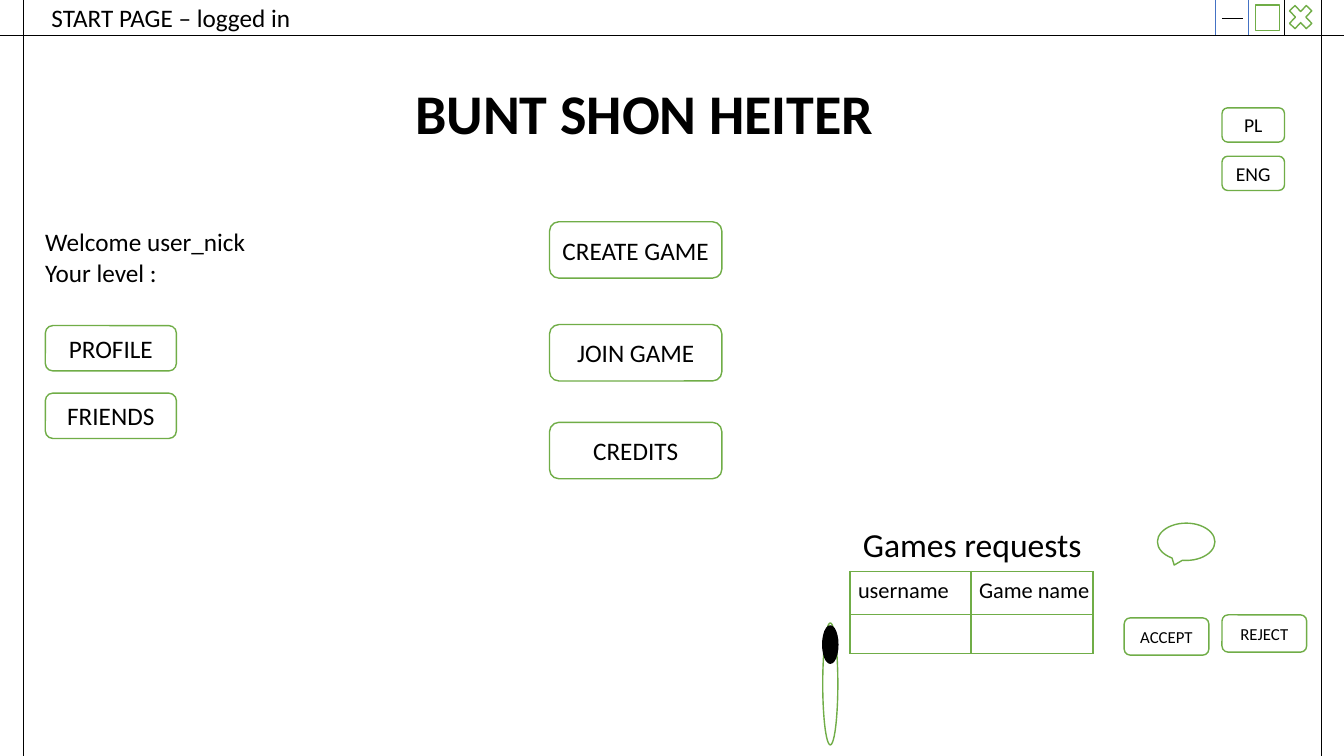
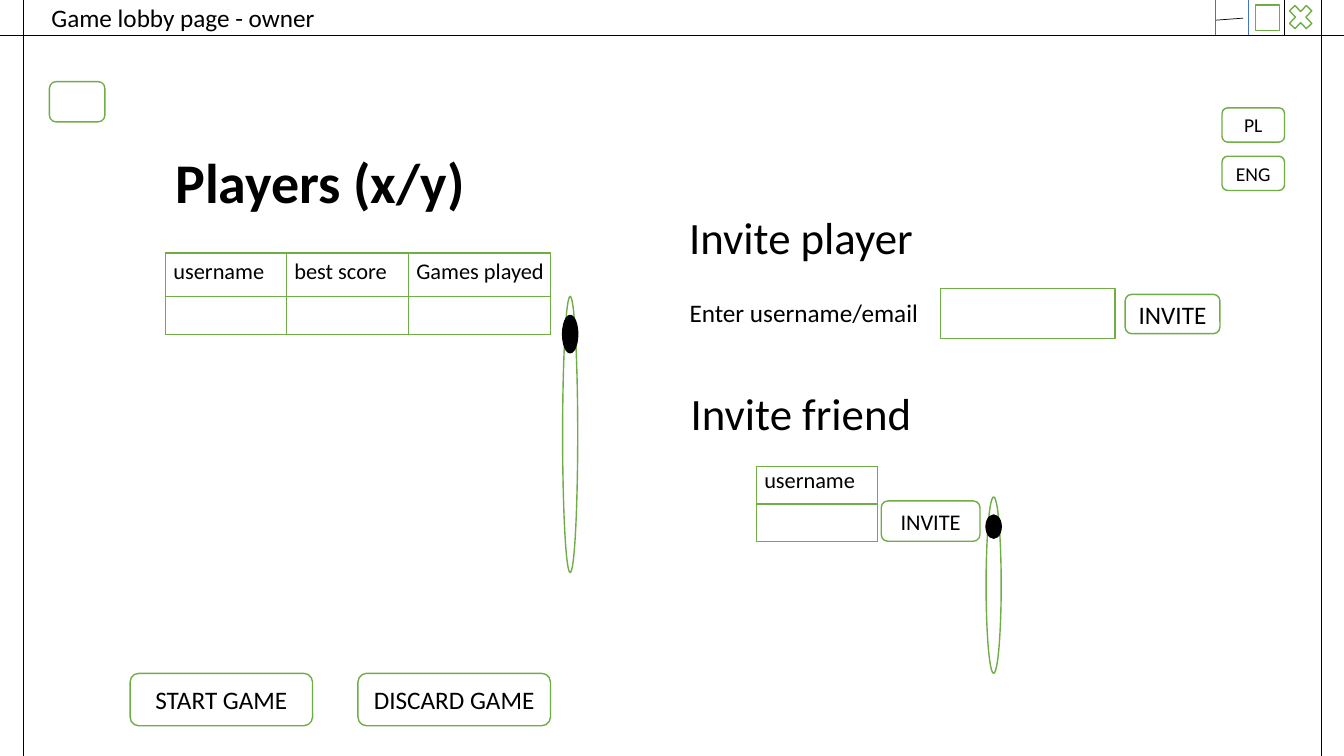
from lxml import etree
from pptx import Presentation
from pptx.dml.color import RGBColor
from pptx.enum.shapes import MSO_CONNECTOR, MSO_SHAPE
from pptx.enum.text import MSO_ANCHOR, MSO_AUTO_SIZE, PP_ALIGN
from pptx.oxml.ns import qn
from pptx.util import Inches, Pt

RECT, ROUNDED = MSO_SHAPE.RECTANGLE, MSO_SHAPE.ROUNDED_RECTANGLE
OVAL, CROSS = MSO_SHAPE.OVAL, MSO_SHAPE.MATH_MULTIPLY
BUBBLE = MSO_SHAPE.OVAL_CALLOUT
STRAIGHT = MSO_CONNECTOR.STRAIGHT
LEFT, CENTER = PP_ALIGN.LEFT, PP_ALIGN.CENTER
TOP, MIDDLE = MSO_ANCHOR.TOP, MSO_ANCHOR.MIDDLE
NO_FIT, GROW = MSO_AUTO_SIZE.NONE, MSO_AUTO_SIZE.SHAPE_TO_FIT_TEXT

FONT = "Calibri"
BLACK, WHITE, GREEN, BLUE = "000000", "FFFFFF", "70AD47", "4472C4"
WIDTH, HEIGHT = 13.33, 7.5
BAR = 0.35
SCROLL_WIDTH = 0.15

# Window frame: x1, y1, x2, y2, colour
FRAME_LINES = [
    (0, BAR, WIDTH, BAR, BLACK),
    (13.11, 0, 13.11, HEIGHT, BLACK),
    (0.23, 0, 0.23, HEIGHT, BLACK),
    (12.05, 0, 12.05, BAR, BLUE),
    (12.38, 0, 12.38, BAR, BLUE),
    (12.74, 0, 12.74, BAR, BLACK),
]
WINDOW_ICONS = [(CROSS, 12.74, 0, 0.32, 0.34), (RECT, 12.45, 0.05, 0.24, 0.25)]
LANGUAGE_BUTTONS = [
    ("PL", 12.12, 1.07, 0.62, 0.34, 14),
    ("ENG", 12.12, 1.55, 0.62, 0.34, 14),
]

# buttons: text, left, top, width, height, size
# labels: lines, left, top, width, height, size, bold, alignment
# tables: headers, left, top, column widths, row heights, text inset
# scrollbars: left, track top, track height, thumb top, thumb height
PAGES = [
    {
        "title": "START PAGE – logged in",
        "minimise": (12.12, 0.18, 12.33, 0.18, BLACK),
        "shapes": [(BUBBLE, 11.48, 5.19, 0.57, 0.37)],
        "buttons": [
            ("PROFILE", 0.45, 3.23, 1.3, 0.45, 18),
            ("FRIENDS", 0.45, 3.9, 1.3, 0.45, 18),
            ("CREATE GAME", 5.45, 2.2, 1.71, 0.56, 18),
            ("JOIN GAME", 5.45, 3.22, 1.71, 0.56, 18),
            ("CREDITS", 5.45, 4.19, 1.71, 0.56, 18),
            ("ACCEPT", 11.15, 6.13, 0.84, 0.37, 12),
            ("REJECT", 12.12, 6.1, 0.84, 0.37, 12),
        ],
        "labels": [
            (["BUNT SHON HEITER"], 4.02, 0.73, 4.85, 0.77, 40, True, LEFT),
            (["Welcome user_nick", "Your level :"],
             0.35, 2.2, 2.89, 0.71, 18, False, LEFT),
            (["Games requests"], 8.46, 5.15, 2.67, 0.5, 24, False, LEFT),
        ],
        "tables": [
            (["username", "Game name"], 8.43, 5.67, [1.2, 1.21], [0.43, 0.38], 0.06),
        ],
        "scrollbars": [(8.16, 6.18, 1.21, 6.21, 0.37)],
    },
    {
        "title": "Game lobby page - owner",
        "minimise": (12.06, 0.2, 12.33, 0.18, BLACK),
        "shapes": [(ROUNDED, 0.49, 0.81, 0.55, 0.4), (RECT, 9.33, 2.86, 1.73, 0.5)],
        "buttons": [
            ("INVITE", 11.16, 2.92, 0.94, 0.39, 18),
            ("INVITE", 8.74, 4.97, 0.98, 0.4, 16),
            ("START GAME", 1.29, 6.68, 1.81, 0.52, 18),
            ("DISCARD GAME", 3.55, 6.68, 1.91, 0.52, 18),
        ],
        "labels": [
            (["Players (x/y)"], 1.64, 1.41, 3.41, 0.77, 40, True, LEFT),
            (["Enter username/email"], 6.74, 2.9, 2.55, 0.4, 18, False, LEFT),
            (["Invite player"], 6.1, 2.03, 3.69, 0.64, 32, False, CENTER),
            (["Invite friend"], 6.1, 3.78, 3.69, 0.64, 32, False, CENTER),
        ],
        "tables": [
            (["username", "best score", "Games played"],
             1.64, 2.51, [1.2, 1.21, 1.41], [0.43, 0.38], 0.05),
            (["username"], 7.5, 4.63, [1.2], [0.37, 0.37], 0),
        ],
        "scrollbars": [
            (5.58, 2.94, 2.74, 3.13, 0.37),
            (9.78, 4.93, 1.75, 5.11, 0.23),
        ],
    },
]


def colour(value):
    return RGBColor.from_string(value)


def write(frame, lines, size, bold=False, align=LEFT):
    frame.text = "\n".join(lines)
    for para in frame.paragraphs:
        para.alignment = align
        for span in para.runs:
            span.font.name = FONT
            span.font.size = Pt(size)
            span.font.bold = bold
            span.font.color.rgb = colour(BLACK)


def add_outline(page, kind, left, top, width, height, fill=WHITE, line=GREEN):
    shape = page.shapes.add_shape(
        kind, Inches(left), Inches(top), Inches(width), Inches(height))
    shape.shadow.inherit = False
    shape.fill.solid()
    shape.fill.fore_color.rgb = colour(fill)
    shape.line.color.rgb = colour(line)
    shape.line.width = Pt(1)
    return shape


def add_button(page, text, left, top, width, height, size):
    frame = add_outline(page, ROUNDED, left, top, width, height).text_frame
    frame.margin_left = frame.margin_right = Inches(0.05)
    frame.vertical_anchor = MIDDLE
    write(frame, [text], size, align=CENTER)


def add_label(page, lines, left, top, width, height, size, bold, align):
    box = page.shapes.add_textbox(
        Inches(left), Inches(top), Inches(width), Inches(height))
    box.text_frame.word_wrap = True
    box.text_frame.auto_size = GROW
    write(box.text_frame, lines, size, bold, align)


def add_line(page, x1, y1, x2, y2, line):
    connector = page.shapes.add_connector(
        STRAIGHT, Inches(x1), Inches(y1), Inches(x2), Inches(y2))
    connector.line.color.rgb = colour(line)
    connector.line.width = Pt(0.5)
    etree.SubElement(connector._element.spPr, qn("a:effectLst"))


def add_borders(cell):
    properties = cell._tc.get_or_add_tcPr()
    for side in ("a:lnL", "a:lnR", "a:lnT", "a:lnB"):
        border = etree.SubElement(properties, qn(side), w=str(Pt(1)))
        fill = etree.SubElement(border, qn("a:solidFill"))
        etree.SubElement(fill, qn("a:srgbClr"), val=GREEN)


def add_grid(page, headers, left, top, widths, heights, inset):
    table = page.shapes.add_table(
        len(heights), len(widths), Inches(left), Inches(top),
        Inches(sum(widths)), Inches(sum(heights))).table
    table.first_row = table.horz_banding = False
    for column, width in zip(table.columns, widths):
        column.width = Inches(width)
    for row, height in zip(table.rows, heights):
        row.height = Inches(height)
    for cell in table.iter_cells():
        add_borders(cell)
        cell.fill.solid()
        cell.fill.fore_color.rgb = colour(WHITE)
        cell.margin_left = Inches(0.08)
        cell.margin_top = Inches(inset)
        cell.margin_right = cell.margin_bottom = 0
        cell.vertical_anchor = TOP
    for index, header in enumerate(headers):
        write(table.cell(0, index).text_frame, [header], 16)


def add_scrollbar(page, left, top, height, thumb_top, thumb_height):
    add_outline(page, OVAL, left, top, SCROLL_WIDTH, height)
    add_outline(page, OVAL, left, thumb_top, SCROLL_WIDTH, thumb_height, BLACK, BLACK)


def place_title(layout):
    """Move the title of the layout into the window bar for every page."""
    title = layout.placeholders[0]
    title.left, title.top = Inches(0.41), Inches(0.04)
    title.width, title.height = Inches(6.14), Inches(0.31)
    title.text_frame.vertical_anchor = MIDDLE
    title.text_frame.auto_size = NO_FIT


def add_window(page, title, minimise):
    """Add what every page shares: title, frame, window icons, languages."""
    frame = page.shapes.title.text_frame
    write(frame, [title], 18)
    frame.paragraphs[0].line_spacing = 0.9
    for icon in WINDOW_ICONS:
        add_outline(page, *icon)
    for line in FRAME_LINES + [minimise]:
        add_line(page, *line)
    for button in LANGUAGE_BUTTONS:
        add_button(page, *button)


def main():
    deck = Presentation()
    deck.slide_width, deck.slide_height = Inches(WIDTH), Inches(HEIGHT)
    layout = deck.slide_layouts[5]
    place_title(layout)
    parts = [
        ("shapes", add_outline),
        ("tables", add_grid),
        ("scrollbars", add_scrollbar),
        ("labels", add_label),
        ("buttons", add_button),
    ]
    for content in PAGES:
        page = deck.slides.add_slide(layout)
        add_window(page, content["title"], content["minimise"])
        for name, add_part in parts:
            for part in content[name]:
                add_part(page, *part)
    deck.save("out.pptx")


if __name__ == "__main__":
    main()
